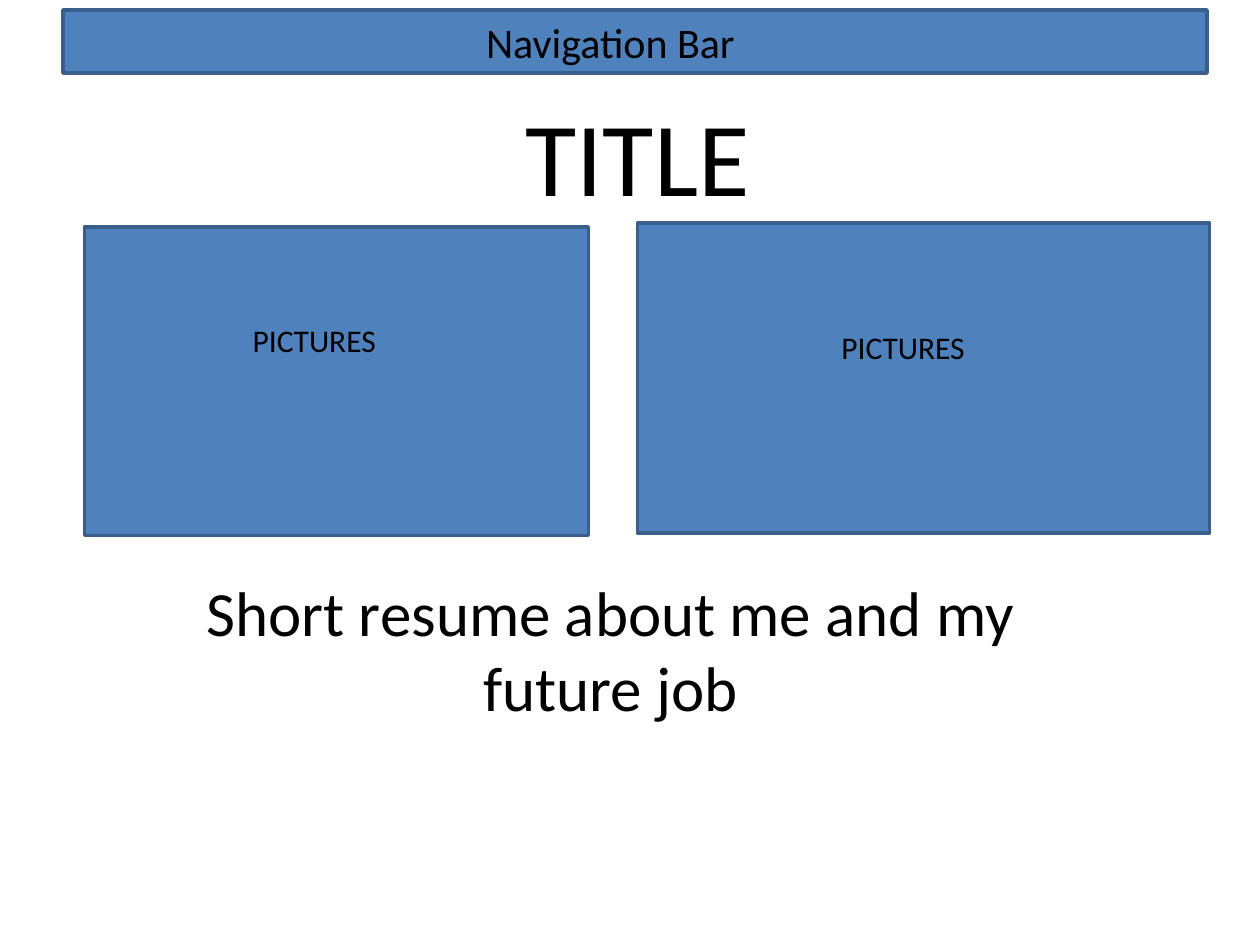
from pptx import Presentation
from pptx.dml.color import RGBColor
from pptx.enum.shapes import MSO_SHAPE
from pptx.enum.text import MSO_ANCHOR, MSO_AUTO_SIZE, PP_ALIGN
from pptx.util import Inches, Pt

RECTANGLE = MSO_SHAPE.RECTANGLE
TOP = MSO_ANCHOR.TOP
NO_AUTOFIT = MSO_AUTO_SIZE.NONE
LEFT, CENTER = PP_ALIGN.LEFT, PP_ALIGN.CENTER
TITLE_ONLY = 5

COLORS = {"panel": "4F81BD", "border": "3A5F8C", "text": "000000"}
FONT = "Calibri"


class Wireframe:
    """Holds the style and the current slide."""

    def __init__(self, slide):
        self.slide = slide

    def color(self, name):
        return RGBColor.from_string(COLORS[name])

    def fill_text(self, box, text, size, align):
        frame = box.text_frame
        frame.word_wrap = True
        frame.auto_size = NO_AUTOFIT
        frame.vertical_anchor = TOP
        frame.text = text
        para = frame.paragraphs[0]
        para.alignment = align
        font = para.runs[0].font
        font.name = FONT
        font.size = Pt(size)
        font.color.rgb = self.color("text")

    def title(self, text, left, top, width, height, size):
        box = self.slide.shapes.title
        box.left, box.top = Inches(left), Inches(top)
        box.width, box.height = Inches(width), Inches(height)
        self.fill_text(box, text, size, CENTER)

    def panel(self, left, top, width, height):
        box = self.slide.shapes.add_shape(
            RECTANGLE, Inches(left), Inches(top), Inches(width), Inches(height))
        box.shadow.inherit = False
        box.fill.solid()
        box.fill.fore_color.rgb = self.color("panel")
        box.line.color.rgb = self.color("border")
        box.line.width = Pt(2)

    def label(self, text, left, top, width, height, size, align=CENTER):
        box = self.slide.shapes.add_textbox(
            Inches(left), Inches(top), Inches(width), Inches(height))
        self.fill_text(box, text, size, align)


def main():
    deck = Presentation()
    deck.slide_width, deck.slide_height = Inches(10), Inches(7.5)
    page = Wireframe(deck.slides.add_slide(deck.slide_layouts[TITLE_ONLY]))

    # Title
    page.title("TITLE", 2.77, 0.68, 4.58, 2.12, 60)

    # Navigation bar
    page.panel(0.5, 0.08, 9.08, 0.5)
    page.label("Navigation Bar", 2.33, 0.08, 5.03, 0.5, 24)

    # Picture areas
    page.panel(0.67, 1.8, 4, 2.45)
    page.label("PICTURES", 0.83, 2.5, 3.33, 0.4, 18)
    page.panel(5.06, 1.77, 4.54, 2.46)
    page.label("PICTURES", 6.58, 2.55, 2.08, 0.71, 18, LEFT)

    # Resume text
    page.label("Short resume about me and my future job",
               1.47, 4.5, 6.75, 1.31, 36)

    deck.save("out.pptx")


if __name__ == "__main__":
    main()
